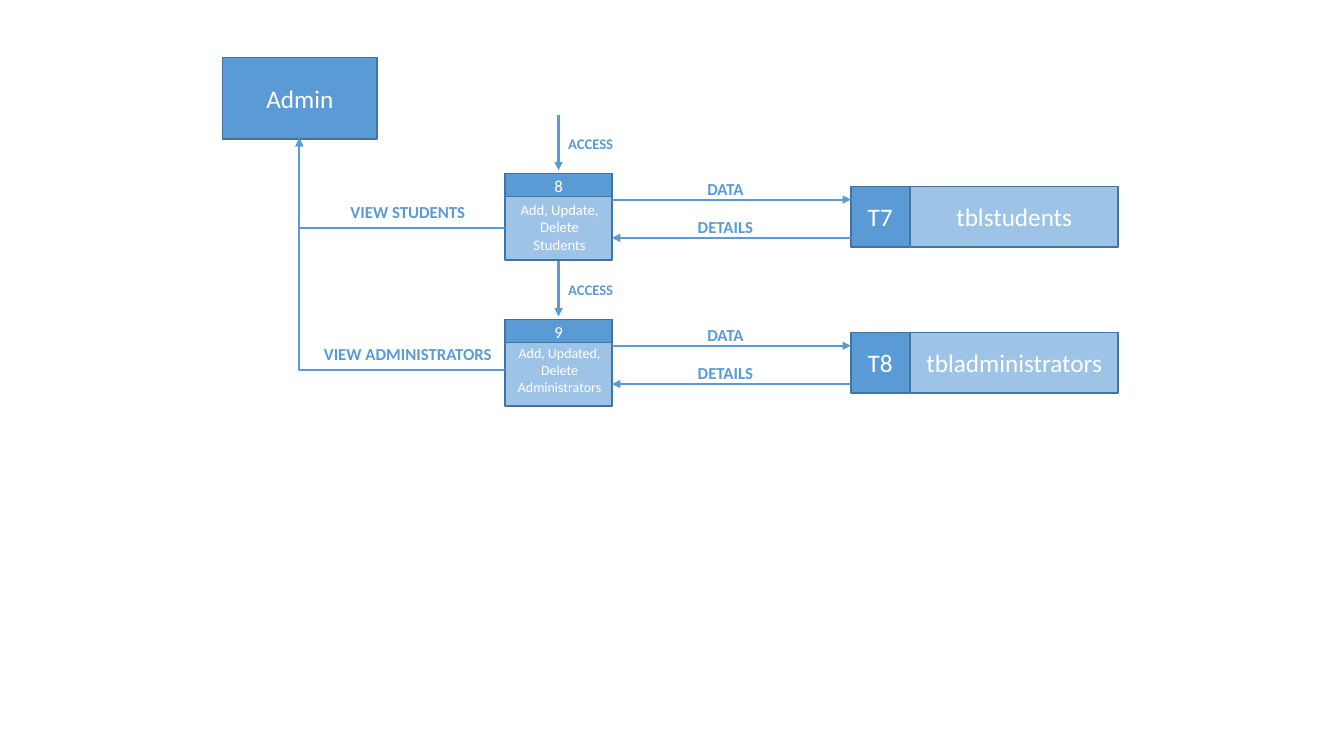
import pptx
import pptx.util
import pptx.dml.color
import pptx.enum.shapes
import pptx.enum.text
import pptx.oxml
import pptx.oxml.ns

Inches = pptx.util.Inches
KIND = pptx.enum.shapes.MSO_SHAPE.RECTANGLE
LINK = pptx.enum.shapes.MSO_CONNECTOR
ALIGN = pptx.enum.text.PP_ALIGN
HUES = {"blue": "5B9BD5", "pale": "9DC3E6", "edge": "43739E", "white": "FFFFFF"}


def hue(name):
    """Return the named colour."""
    return pptx.dml.color.RGBColor.from_string(HUES[name])


def apply(item, form):
    """Set each format value on the item."""
    for key, val in form.items():
        setattr(item, key, val)


def write(frame, text, size, tint="white", bold=False, align=ALIGN.CENTER):
    """Write one styled paragraph in a text frame."""
    line = frame.paragraphs[0]
    line.alignment = align
    run = line.add_run()
    run.text = text
    apply(run.font, {"name": "Calibri", "size": pptx.util.Pt(size), "bold": bold})
    run.font.color.rgb = hue(tint)


def block(shapes, box, fill, text="", size=18):
    """Draw a filled rectangle with optional centred text."""
    rect = shapes.add_shape(KIND, *map(Inches, box))
    rect.shadow.inherit = False
    rect.fill.solid()
    rect.fill.fore_color.rgb = hue(fill)
    rect.line.color.rgb = hue("edge")
    rect.line.width = pptx.util.Pt(1)
    apply(rect.text_frame, {"word_wrap": True,
                            "vertical_anchor": pptx.enum.text.MSO_ANCHOR.MIDDLE})
    if text:
        write(rect.text_frame, text, size)


def label(shapes, box, text, size=12, **style):
    """Add a wrapped text box."""
    frame = shapes.add_textbox(*map(Inches, box)).text_frame
    apply(frame, {"word_wrap": True,
                  "auto_size": pptx.enum.text.MSO_AUTO_SIZE.SHAPE_TO_FIT_TEXT})
    write(frame, text, size, **style)


def arrow(shapes, start, end, bent=False):
    """Draw an arrow, straight or with one corner."""
    kind = LINK.ELBOW if bent else LINK.STRAIGHT
    link = shapes.add_connector(kind, *map(Inches, start + end))
    link.line.color.rgb = hue("blue")
    link.line.width = pptx.util.Pt(1.5)
    edge = link.line._get_or_add_ln()
    tail = pptx.oxml.parse_xml(
        f'<a:tailEnd {pptx.oxml.ns.nsdecls("a")} type="triangle"/>')
    edge.append(tail)
    edge.addnext(pptx.oxml.parse_xml(f'<a:effectLst {pptx.oxml.ns.nsdecls("a")}/>'))
    if bent:
        link.element.xpath(".//a:prstGeom")[0].set("prst", "bentConnector2")


def task(shapes, box, num, text, size, drop):
    """Draw a numbered process as a group."""
    left, top, wide, high = box
    group = shapes.add_group_shape().shapes
    block(group, box, "pale")
    block(group, (left, top, wide, 0.23), "blue")
    label(group, (left + 0.19, top - 0.03, 0.68, 0.3), num)
    label(group, (left + 0.01, top + drop, 1.06, 0.62), text, size)


def store(shapes, box, code, name):
    """Draw a data store as a group."""
    left, top, wide, high = box
    group = shapes.add_group_shape().shapes
    block(group, (left + 0.59, top, wide - 0.59, high), "pale", name)
    block(group, (left, top, 0.58, high), "blue", code)


def row(shapes, box, goal, num, text, size, drop, view, turn, code, name):
    """Draw a process with its store, arrows and labels."""
    left, top, wide, high = box
    mark = {"tint": "blue", "bold": True}
    task(shapes, (left, top, 1.06, high), num, text, size, drop)
    store(shapes, (left + 3.43, top + 0.13, wide - 3.43, 0.6), code, name)
    arrow(shapes, (left, top + turn), goal, bent=True)
    label(shapes, (left - 1.97, top + turn - 0.31, 2.01, 0.3), view, **mark)
    arrow(shapes, (left + 0.53, top - 0.58), (left + 0.53, top - 0.03))
    label(shapes, (left - 0.84, top - 0.43, 2.01, 0.29), "ACCESS", 10.5,
          align=ALIGN.RIGHT, **mark)
    near, far = left + 1.06, left + 3.43
    for step, tag in enumerate(("DATA", "DETAILS")):
        rise = top + 0.26 + 0.38 * step
        ends = [(near, rise), (far, rise)]
        arrow(shapes, *(ends[::-1] if step else ends))
        label(shapes, (left + 1.18, rise - 0.26, 2.01, 0.3), tag, **mark)


def chart(shapes, box):
    """Draw the admin box and the two process rows."""
    left, top, wide, high = box
    block(shapes, (left, top, 1.53, 0.81), "blue", "Admin")
    goal = (left + 0.76, top + 0.8)
    rows = [
        ("8", "Add, Update, Delete Students", 10.5, 0.22,
         "VIEW STUDENTS", 0.54, "T7", "tblstudents"),
        ("9", "Add, Updated, Delete Administrators", 10, 0.2,
         "VIEW ADMINISTRATORS", 0.5, "T8", "tbladministrators"),
    ]
    for at, data in enumerate(rows):
        spot = (left + 2.8, top + 1.15 + 1.45 * at, wide - 2.8, 0.86)
        row(shapes, spot, goal, *data)


deck = pptx.Presentation()
apply(deck, {"slide_width": Inches(13.33), "slide_height": Inches(7.5)})
slide = deck.slides.add_slide(deck.slide_layouts[6])
chart(slide.shapes, (2.21, 0.57, 8.88, 3.46))
deck.save("out.pptx")
